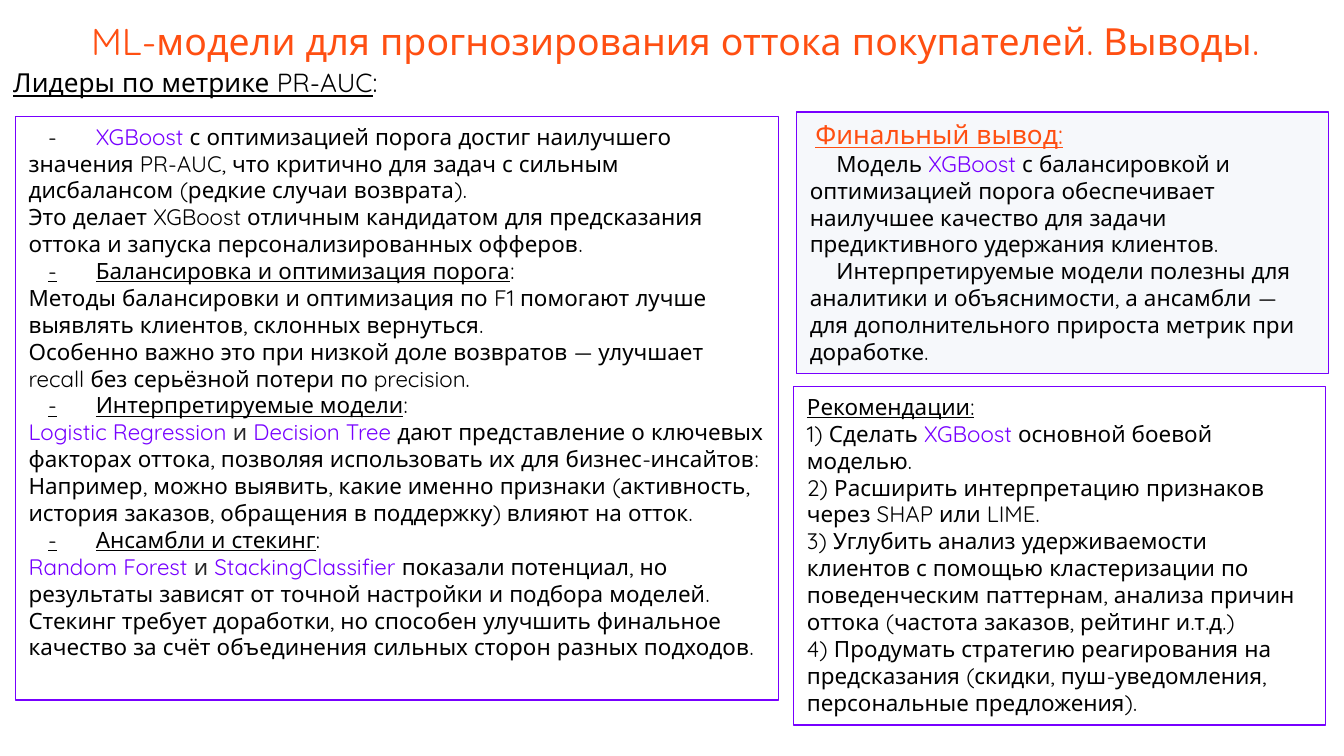
from lxml import etree
from pptx import Presentation
from pptx.dml.color import RGBColor
from pptx.enum.shapes import MSO_SHAPE
from pptx.enum.text import MSO_ANCHOR, PP_ALIGN
from pptx.oxml.ns import qn
from pptx.util import Pt

RECTANGLE = MSO_SHAPE.RECTANGLE
TOP = MSO_ANCHOR.TOP
LEFT, RIGHT = PP_ALIGN.LEFT, PP_ALIGN.RIGHT

EMU_PER_PX = 9525
SLIDE_WIDTH, SLIDE_HEIGHT = 960, 540
TITLE_ONLY = 5
FONT = "Quicksand"
COLORS = {
    "text": "000000",
    "soft": "262626",
    "accent": "7700FF",
    "heading": "FF4F12",
    "panel": "F6F8FB",
}


def px(length):
    return length * EMU_PER_PX


def run(text, color="text", size=12, underline=False):
    return text, color, size, underline


def model(name):
    return run(name, "accent")


def para(*runs, indent=0, tab=0):
    """A paragraph: plain strings become body runs; indent is of the first line."""
    return [run(r) if isinstance(r, str) else r for r in runs], indent, tab


def dash_item(*runs):
    return para(*runs, indent=14, tab=28)


def dash_heading(text):
    return dash_item(run("-\t" + text, underline=True), ":")


class SlideBuilder:
    def __init__(self, slide):
        self.slide = slide

    def color(self, name):
        return RGBColor.from_string(COLORS[name])

    def set_text(self, frame, paragraphs, align=LEFT):
        frame.word_wrap = True
        frame.vertical_anchor = TOP
        for number, (runs, indent, tab) in enumerate(paragraphs):
            paragraph = frame.add_paragraph() if number else frame.paragraphs[0]
            paragraph.alignment = align
            properties = paragraph._p.get_or_add_pPr()
            if indent:
                properties.set("marL", "0")
                properties.set("indent", str(px(indent)))
            if tab:
                stops = etree.SubElement(properties, qn("a:tabLst"))
                etree.SubElement(stops, qn("a:tab"), pos=str(px(tab)), algn="l")
            for text, color, size, underline in runs:
                piece = paragraph.add_run()
                piece.text = text
                piece.font.name = FONT
                piece.font.size = Pt(size)
                piece.font.underline = underline
                piece.font.color.rgb = self.color(color)

    def title(self, text, left, top, width, height):
        title = self.slide.shapes.title
        title.left, title.top = px(left), px(top)
        title.width, title.height = px(width), px(height)
        frame = title.text_frame
        frame.margin_left = frame.margin_right = px(10)
        frame.margin_top = frame.margin_bottom = px(10)
        self.set_text(frame, [para(run(text, "heading", 20))], RIGHT)

    def label(self, paragraphs, left, top, width, height):
        box = self.slide.shapes.add_textbox(px(left), px(top), px(width), px(height))
        self.set_text(box.text_frame, paragraphs)

    def panel(self, paragraphs, left, top, width, height, fill=None):
        panel = self.slide.shapes.add_shape(
            RECTANGLE, px(left), px(top), px(width), px(height))
        panel.shadow.inherit = False
        if fill:
            panel.fill.solid()
            panel.fill.fore_color.rgb = self.color(fill)
        else:
            panel.fill.background()
        panel.line.color.rgb = self.color("accent")
        panel.line.width = Pt(0.75)
        self.set_text(panel.text_frame, paragraphs)


LEADERS = [
    dash_item("-\t", model("XGBoost"),
              " с оптимизацией порога достиг наилучшего значения PR-AUC, что критично "
              "для задач с сильным дисбалансом (редкие случаи возврата)."),
    para("Это делает XGBoost отличным кандидатом для предсказания оттока и запуска "
         "персонализированных офферов."),
    dash_heading("Балансировка и оптимизация порога"),
    para("Методы балансировки и оптимизация по F1 помогают лучше выявлять клиентов, "
         "склонных вернуться."),
    para("Особенно важно это при низкой доле возвратов — улучшает recall без "
         "серьёзной потери по precision."),
    dash_heading("Интерпретируемые модели"),
    para(model("Logistic Regression "), run("и ", "soft"), model("Decision Tree"),
         " дают представление о ключевых факторах оттока, позволяя использовать их "
         "для бизнес-инсайтов:"),
    para("Например, можно выявить, какие именно признаки (активность, история заказов, "
         "обращения в поддержку) влияют на отток."),
    dash_heading("Ансамбли и стекинг"),
    para(model("Random Forest "), run("и ", "soft"), model("StackingClassifier "),
         "показали потенциал, но результаты зависят от точной настройки и подбора моделей."),
    para("Стекинг требует доработки, но способен улучшить финальное качество за счёт "
         "объединения сильных сторон разных подходов."),
]

RECOMMENDATIONS = [
    para(run("Рекомендации:", underline=True)),
    para("1) Сделать ", model("XGBoost"), " основной боевой моделью."),
    para("2) Расширить интерпретацию признаков через SHAP или LIME."),
    para("3) Углубить анализ удерживаемости клиентов с помощью кластеризации по "
         "поведенческим паттернам, анализа причин оттока (частота заказов, рейтинг и.т.д.)"),
    para("4) Продумать стратегию реагирования на предсказания (скидки, "
         "пуш-уведомления, персональные предложения)."),
]

CONCLUSION = [
    para(run("Финальный вывод:", "heading", 14, True), indent=4),
    para("Модель ", model("XGBoost"),
         " с балансировкой и оптимизацией порога обеспечивает наилучшее качество для "
         "задачи предиктивного удержания клиентов.", indent=19),
    para("Интерпретируемые модели полезны для аналитики и объяснимости, а ансамбли — "
         "для дополнительного прироста метрик при доработке.", indent=19),
]


def main():
    deck = Presentation()
    deck.slide_width, deck.slide_height = px(SLIDE_WIDTH), px(SLIDE_HEIGHT)
    builder = SlideBuilder(deck.slides.add_slide(deck.slide_layouts[TITLE_ONLY]))

    # Title
    builder.title("ML-модели для прогнозирования оттока покупателей. Выводы.",
                  12, 3, 897, 60)

    # Leading models
    builder.panel(LEADERS, 11, 83, 545, 417)

    # Recommendations
    builder.panel(RECOMMENDATIONS, 567, 276, 380, 242)

    # Heading over the leading models
    builder.label([para(run("Лидеры по метрике PR-AUC", size=14, underline=True),
                        run(":", size=14))], 0, 43, 299, 55)

    # Final conclusion
    builder.panel(CONCLUSION, 569, 80, 380, 187, "panel")

    deck.save("out.pptx")


if __name__ == "__main__":
    main()
